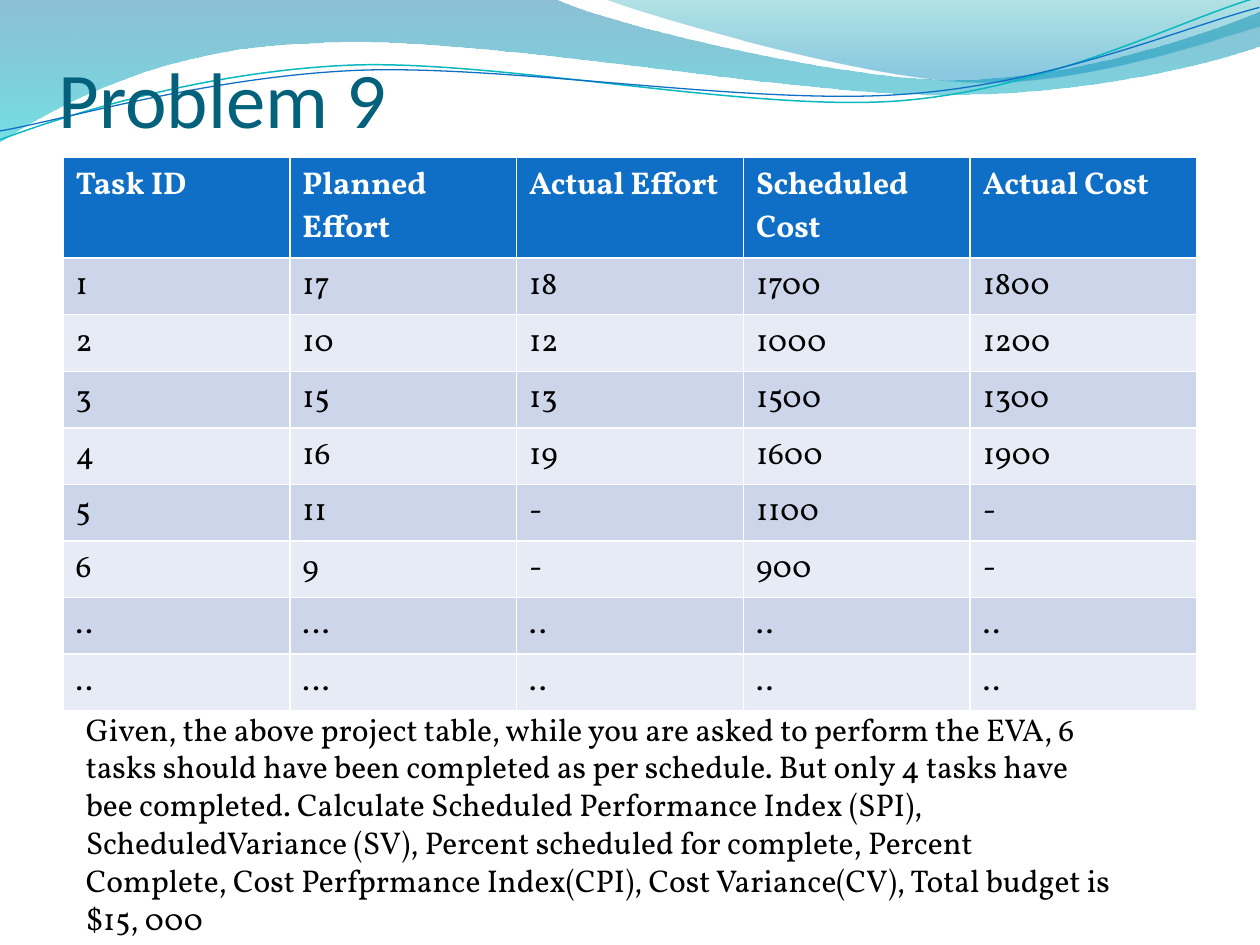
from lxml.etree import SubElement
from pptx import Presentation
from pptx.dml.color import RGBColor
from pptx.enum.text import MSO_ANCHOR, MSO_AUTO_SIZE, PP_ALIGN
from pptx.oxml.ns import qn
from pptx.util import Cm, Pt

BLUE, WHITE, BLACK = "0F6FC6", "FFFFFF", "000000"
BANDS = ["CCD5EA", "E7EBF5"]
BODY_FONT = "Vollkorn"

WAVE_LEFT = [
    (0, 0),
    (11.18, -0.03),
    (12.09, 0.43, 16.87, 1.6, 19.25, 1.6),
    (21.67, 1.6, 24.33, 0.66, 25.4, 0.23),
    (25.43, 0.91),
    (24.97, 1.12, 22.1, 1.93, 18.95, 1.91),
    (15.8, 1.91, 9.7, 0.71, 6.53, 0.86),
    (3.28, 0.91, 1.17, 2.11, -0.03, 2.87),
    (0, 0),
]
WAVE_RIGHT = [
    (12.17, -0.03),
    (12.93, 0.28, 17.32, 1.57, 19.53, 1.65),
    (21.74, 1.75, 24.41, 0.81, 25.4, 0.53),
    (25.4, 0),
    (12.17, -0.03),
]
TEAL_LINE = [
    (-0.05, 2.22),
    (1.19, 1.82, 4.01, 1.04, 7.05, 1.05),
    (10.05, 1.07, 15.02, 2.37, 18.08, 2.29),
    (21.13, 2.2, 23.86, 0.91, 25.4, 0.55),
]
BLUE_LINE = [
    (-0.04, 2.04),
    (1.16, 1.9, 4.16, 1.15, 7.2, 1.16),
    (10.25, 1.18, 15.13, 2.25, 18.19, 2.16),
    (21.21, 2.1, 23.93, 1.06, 25.44, 0.75),
]
ROWS = [
    ["Task ID", "Planned Effort", "Actual Effort", "Scheduled Cost", "Actual Cost"],
    ["1", "17", "18", "1700", "1800"],
    ["2", "10", "12", "1000", "1200"],
    ["3", "15", "13", "1500", "1300"],
    ["4", "16", "19", "1600", "1900"],
    ["5", "11", "-", "1100", "-"],
    ["6", "9", "-", "900", "-"],
    ["..", "…", "..", "..", ".."],
    ["..", "…", "..", "..", ".."],
]
QUESTION = (
    "Given, the above project table, while you are asked to perform the EVA, 6 tasks "
    "should have been completed as per schedule. But only 4 tasks have bee completed. "
    "Calculate Scheduled Performance Index (SPI), ScheduledVariance (SV), Percent "
    "scheduled for complete, Percent Complete, Cost Perfprmance Index(CPI), "
    "Cost Variance(CV), Total budget is $15, 000"
)


def rgb(color):
    return RGBColor.from_string(color)


def add_run(p, text, size, font, color, bold=False):
    r = p.add_run()
    r.text = text
    r.font.size = Pt(size)
    r.font.name = font
    r.font.bold = bold
    r.font.color.rgb = rgb(color)


def add_outline(shapes, outline, close):
    points = [(Cm(x), Cm(y)) for segment in outline
              for x, y in zip(segment[::2], segment[1::2])]
    builder = shapes.build_freeform(*points[0])
    builder.add_line_segments(points[1:], close=close)
    sp = builder.convert_to_shape()
    sp.shadow.inherit = False
    lines = iter(list(sp._element.iter(qn("a:lnTo"))))
    for segment in outline[1:]:
        first = next(lines)
        if len(segment) == 6:
            first.tag = qn("a:cubicBezTo")
            for line in (next(lines), next(lines)):
                first.append(line[0])
                line.getparent().remove(line)
    return sp


def add_wave(s, outline, stops):
    sp = add_outline(s.shapes, outline, True)
    sp.line.fill.background()
    sp.fill.gradient()
    sp.fill.gradient_angle = 270
    for stop, (position, color, opacity) in zip(sp.fill.gradient_stops, stops):
        stop.position = position
        stop.color.rgb = rgb(color)
    colors = sp._element.spPr.iter(qn("a:srgbClr"))
    for element, (position, color, opacity) in zip(colors, stops):
        SubElement(element, qn("a:alpha")).set("val", str(opacity * 1000))


def add_curve(group, outline, color, width):
    sp = add_outline(group.shapes, outline, False)
    sp.rotation = 357.3
    sp.fill.background()
    sp.line.color.rgb = rgb(color)
    sp.line.width = Pt(width)


def add_title(s, text):
    sp = s.shapes.title
    sp.left, sp.top, sp.width, sp.height = Cm(1.18), Cm(0.84), Cm(22.86), Cm(2.06)
    tf = sp.text_frame
    tf.auto_size = MSO_AUTO_SIZE.NONE
    tf.vertical_anchor = MSO_ANCHOR.BOTTOM
    tf.margin_left = tf.margin_right = tf.margin_bottom = 0
    p = tf.paragraphs[0]
    p.alignment = PP_ALIGN.LEFT
    add_run(p, text, 45, "Calibri", "04617B")


def add_task_table(s):
    row_height = Cm(1.03)
    table = s.shapes.add_table(len(ROWS), len(ROWS[0]), Cm(1.27), Cm(3.18),
                               Cm(22.86), row_height * len(ROWS)).table
    for i, row in enumerate(ROWS):
        header = i == 0
        for j, text in enumerate(row):
            cell = table.cell(i, j)
            cell.fill.solid()
            cell.fill.fore_color.rgb = rgb(BLUE if header else BANDS[(i - 1) % 2])
            add_run(cell.text_frame.paragraphs[0], text, 18, BODY_FONT,
                    WHITE if header else BLACK, header)


def add_question(s, text):
    tf = s.shapes.add_textbox(Cm(1.48), Cm(14.18), Cm(21.16), Cm(4.88)).text_frame
    tf.word_wrap = True
    tf.auto_size = MSO_AUTO_SIZE.SHAPE_TO_FIT_TEXT
    add_run(tf.paragraphs[0], text, 18, BODY_FONT, BLACK)


def main():
    prs = Presentation()
    prs.slide_width, prs.slide_height = Cm(25.4), Cm(19.05)
    s = prs.slides.add_slide(prs.slide_layouts[5])
    s.background.fill.solid()
    s.background.fill.fore_color.rgb = rgb(WHITE)
    add_wave(s, WAVE_LEFT, [(0, "0074A1", 45), (1, "00C6CF", 55)])
    add_wave(s, WAVE_RIGHT, [(0, "00A1A9", 30), (0.8, "008BBF", 45)])
    group = s.shapes.add_group_shape()
    add_curve(group, TEAL_LINE, "0AB8BF", 0.85)
    add_curve(group, BLUE_LINE, BLUE, 0.75)
    title = s.shapes.title._element
    title.getparent().append(title)
    add_title(s, "Problem 9")
    add_task_table(s)
    add_question(s, QUESTION)
    prs.save("out.pptx")


if __name__ == "__main__":
    main()
